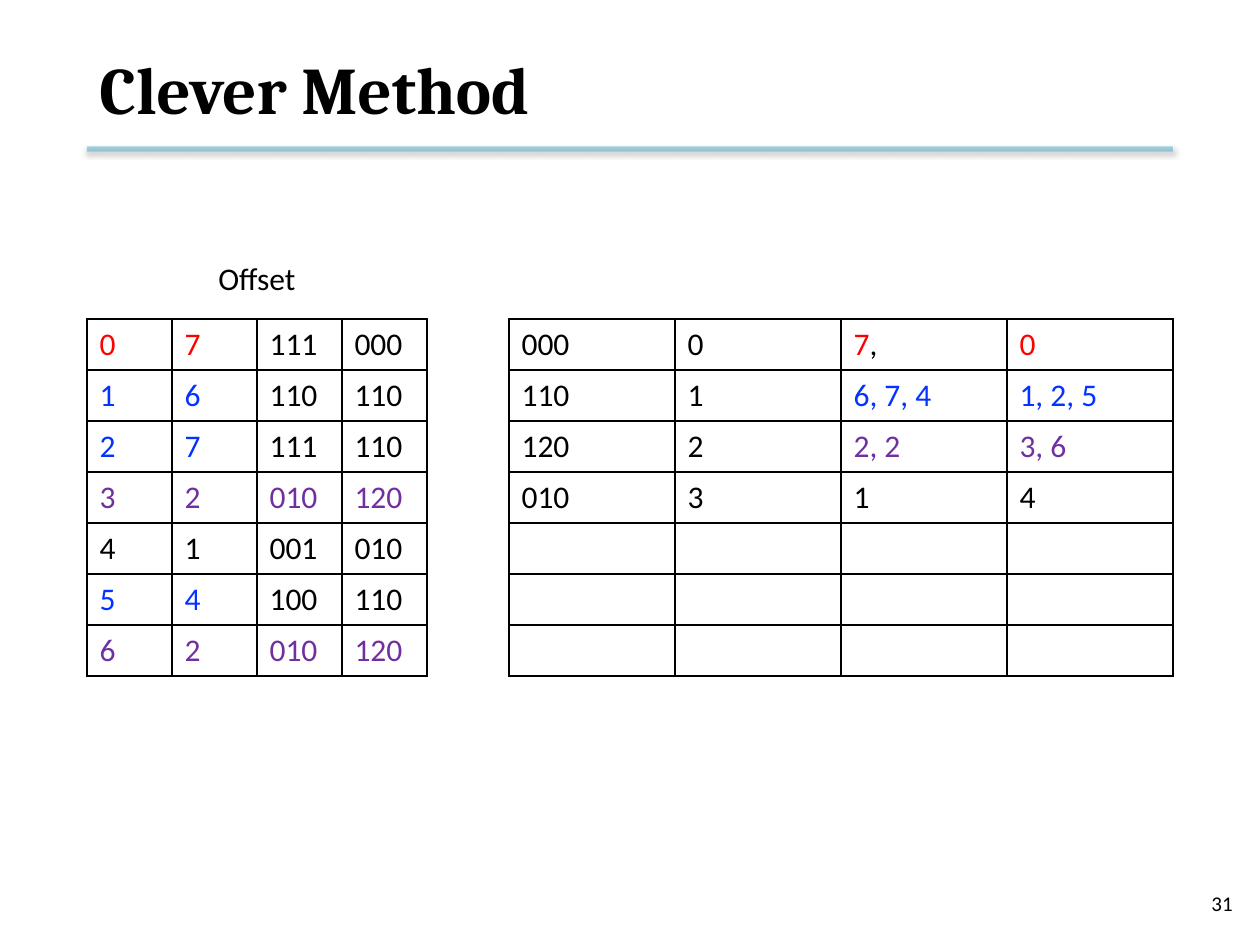
from lxml.etree import SubElement
from pptx import Presentation
from pptx.dml.color import RGBColor
from pptx.enum.shapes import MSO_CONNECTOR as Link
from pptx.enum.text import MSO_ANCHOR as Anchor, PP_ALIGN as Align
from pptx.oxml import parse_xml
from pptx.oxml.ns import nsdecls, qn
from pptx.util import Pt

INK = RGBColor(0, 0, 0)
RED = RGBColor(0xFF, 0, 0)
BLUE = RGBColor(0x04, 0x32, 0xFF)
PLUM = RGBColor(0x70, 0x30, 0xA0)
TEAL = RGBColor(0x4B, 0xAC, 0xC6)

# Text boxes: text, box in px, alignment, anchor, font
LABELS = [
    ("31", (951, 878, 294, 50), Align.RIGHT, Anchor.MIDDLE, dict(size=Pt(12))),
    ("Clever Method", (87, 21, 1086, 134), Align.LEFT, Anchor.MIDDLE,
     dict(size=Pt(38), name="Cambria", bold=True)),
    ("Offset", (87, 253, 340, 51), Align.CENTER, Anchor.TOP, {}),
]

# Table rows: colour of the first pair, colour of the last pair, cells.
# In a cell of several runs, only the first takes the colour.
HASHES = [
    (RED, INK, ["0", "7", "111", "000"]),
    (BLUE, INK, ["1", "6", "110", "110"]),
    (BLUE, INK, ["2", "7", "111", "110"]),
    (PLUM, PLUM, ["3", "2", "010", "120"]),
    (INK, INK, ["4", "1", "001", "010"]),
    (BLUE, INK, ["5", "4", "100", "110"]),
    (PLUM, PLUM, ["6", "2", "010", "120"]),
]
GROUPS = [
    (INK, RED, ["000", "0", ("7", ","), "0"]),
    (INK, BLUE, ["110", "1", "6, 7, 4", "1, 2, 5"]),
    (INK, PLUM, ["120", "2", "2, 2", "3, 6"]),
    (INK, INK, ["010", "3", "1", "4"]),
] + [(INK, INK, [""] * 4)] * 3
TABLES = [(87, 85, HASHES), (509, 166, GROUPS)]  # left, column width, rows
TOP, ROW = 319, 51
RULE = (87, 149, 1173, 149)


def px(*nums):
    return [round(n * 914400 / 126) for n in nums]


def write(para, text, color=INK, **look):
    run = para.add_run()
    run.text = text
    run.font.color.rgb = color
    for key, val in (dict(size=Pt(18), name="Calibri") | look).items():
        setattr(run.font, key, val)


def border(cell):
    props = cell._tc.get_or_add_tcPr()
    for spot, side in enumerate("LRTB"):
        props.insert(spot, parse_xml(
            f'<a:ln{side} {nsdecls("a")} w="12700"><a:solidFill>'
            f'<a:srgbClr val="{INK}"/></a:solidFill></a:ln{side}>'))


def grid(slide, left, wide, rows):
    cols = len(rows[0][2])
    box = px(left, TOP, wide * cols, ROW * len(rows))
    table = slide.shapes.add_table(len(rows), cols, *box).table
    table.first_row = table.horz_banding = False
    for col in table.columns:
        col.width = px(wide)[0]
    for r, (head, tail, texts) in enumerate(rows):
        table.rows[r].height = px(ROW)[0]
        for c, text in enumerate(texts):
            cell = table.cell(r, c)
            cell.fill.background()
            border(cell)
            color = head if c < 2 else tail
            for n, part in enumerate([text] if isinstance(text, str) else text):
                if part:
                    write(cell.text_frame.paragraphs[0], part, INK if n else color)


def rule(slide):
    line = slide.shapes.add_connector(Link.STRAIGHT, *px(*RULE))
    line.line.color.rgb = TEAL
    line.line.width = Pt(3)
    tint = line.line._ln.find(".//" + qn("a:srgbClr"))
    SubElement(tint, qn("a:alpha"), val="50000")
    line._element.spPr.append(parse_xml(
        f'<a:effectLst {nsdecls("a")}><a:outerShdw blurRad="40000" dist="20000" '
        f'dir="5400000" rotWithShape="0"><a:srgbClr val="{INK}">'
        '<a:alpha val="38000"/></a:srgbClr></a:outerShdw></a:effectLst>'))


def main():
    deck = Presentation()
    deck.slide_width, deck.slide_height = px(1260, 945)
    slide = deck.slides.add_slide(deck.slide_layouts[6])
    rule(slide)
    # Title, page number and caption
    for text, box, align, anchor, look in LABELS:
        frame = slide.shapes.add_textbox(*px(*box)).text_frame
        frame.word_wrap = True
        frame.vertical_anchor = anchor
        frame.paragraphs[0].alignment = align
        write(frame.paragraphs[0], text, **look)
    # Both tables
    for left, wide, rows in TABLES:
        grid(slide, left, wide, rows)
    deck.save("out.pptx")


if __name__ == "__main__":
    main()
